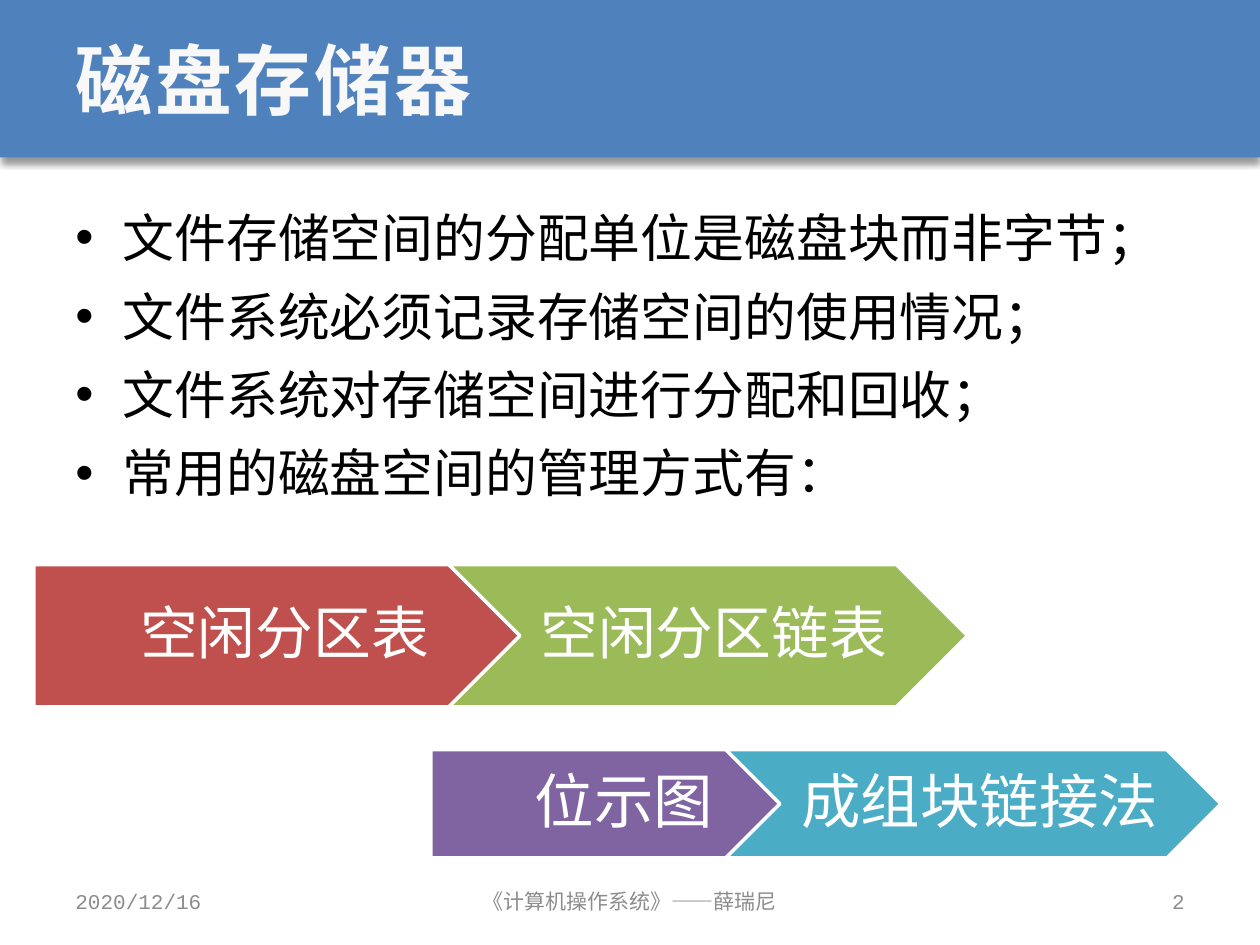
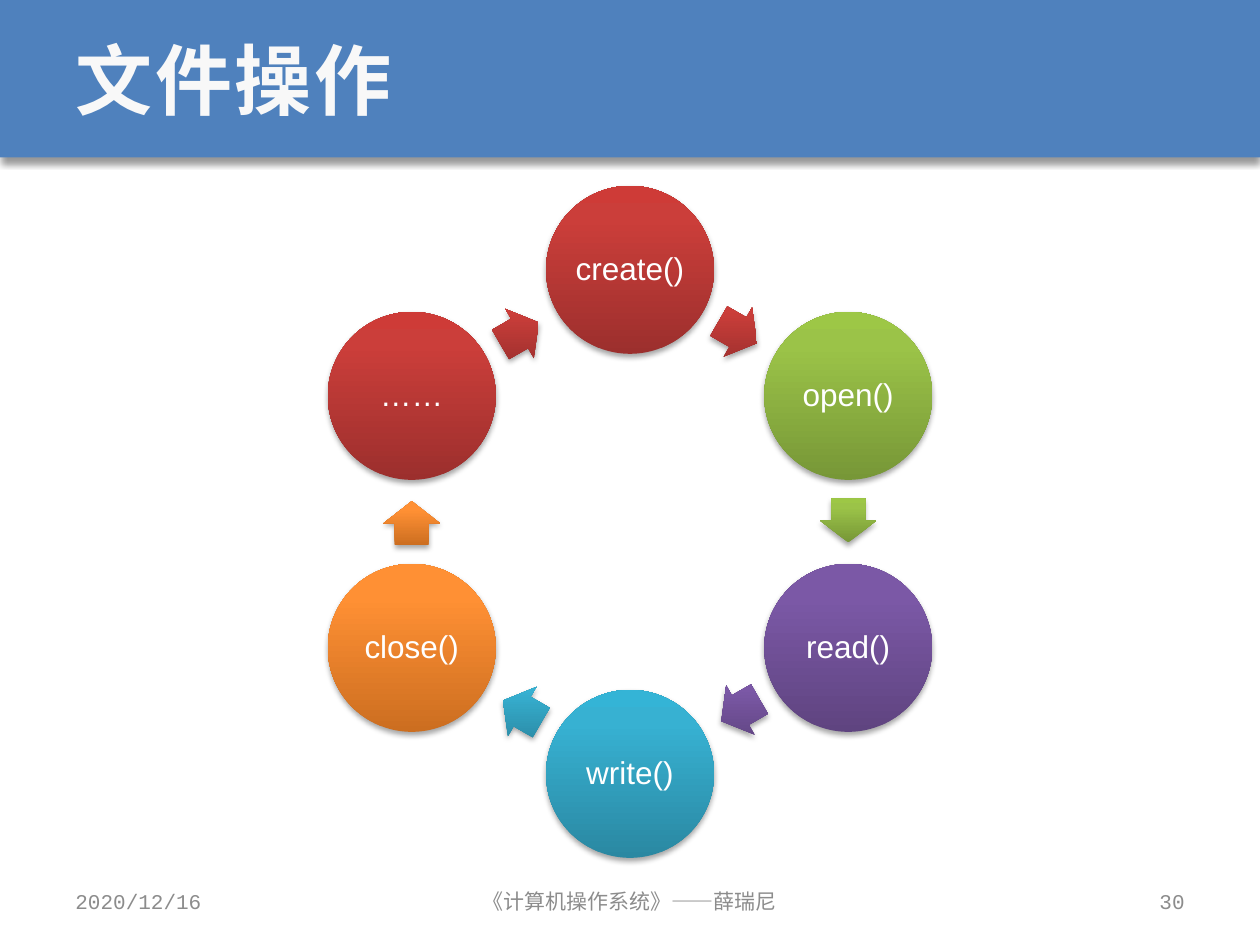
"""Build two lecture slides on disk storage and file operations."""
from math import cos, radians, sin

from pptx import Presentation
from pptx.dml.color import RGBColor
from pptx.enum.shapes import MSO_SHAPE as Shape
from pptx.enum.text import MSO_ANCHOR as Anchor, MSO_AUTO_SIZE as AutoSize, PP_ALIGN as Align
from pptx.oxml import parse_xml
from pptx.oxml.ns import nsdecls
from pptx.util import Pt

BLUE = RGBColor(0x4F, 0x81, 0xBD)
RED = RGBColor(0xC0, 0x50, 0x4D)
GREEN = RGBColor(0x9B, 0xBB, 0x59)
PURPLE = RGBColor(0x80, 0x64, 0xA2)
TEAL = RGBColor(0x4B, 0xAC, 0xC6)
WHITE = RGBColor(0xFF, 0xFF, 0xFF)
OFF_WHITE = RGBColor(0xF8, 0xF8, 0xF8)
BLACK = RGBColor(0, 0, 0)
GREY = RGBColor(0x8C, 0x8C, 0x8C)


def shades(*values):
    """Return the dark, middle and light colours of a gradient."""
    return [RGBColor.from_string(value) for value in values]


RED_SHADES = shades("9C2F2D", "CB3E3A", "CE3B37")
GREEN_SHADES = shades("779737", "9BC348", "9DC746")
PURPLE_SHADES = shades("5F4480", "7B58A6", "7C57A8")
TEAL_SHADES = shades("2A88A2", "37B1D2", "34B4D6")
ORANGE_SHADES = shades("CC6E20", "FF9034", "FF9136")
STOPS = (0, 80, 100)

MONO, SANS = "Courier New", "Arial"
WIDTH, HEIGHT, BAND_HEIGHT, MARGIN = 720, 540, 90, 36
DATE = "2020/12/16"
COURSE = "《计算机操作系统》——薛瑞尼"

POINTS = [
    "文件存储空间的分配单位是磁盘块而非字节；",
    "文件系统必须记录存储空间的使用情况；",
    "文件系统对存储空间进行分配和回收；",
    "常用的磁盘空间的管理方式有：",
]
METHOD_ROWS = [
    {"left": 19.4, "top": 322.6, "height": 81.4, "overlap": 59.7, "size": 33,
     "steps": [("空闲分区表", RED, 296.6, 13.7), ("空闲分区链表", GREEN, 296.6, 10)]},
    {"left": 246.2, "top": 428.4, "height": 61.9, "overlap": 56.9, "size": 34,
     "steps": [("位示图", PURPLE, 225.4, 14.4), ("成组块链接法", TEAL, 283, 10.8)]},
]
OPERATIONS = [
    ("create()", RED_SHADES), ("open()", GREEN_SHADES), ("read()", PURPLE_SHADES),
    ("write()", TEAL_SHADES), ("close()", ORANGE_SHADES), ("……", RED_SHADES),
]
CENTRE_X, CENTRE_Y, RING_RADIUS, CIRCLE_SIZE = 360, 298.2, 144, 96
ARROW_WIDTH, ARROW_HEIGHT, ARROW_SETBACK = 25.2, 32.4, 0.8


def add_text(para, text, size, color, font=SANS):
    """Add one formatted run to a paragraph."""
    span = para.add_run()
    span.text = text
    span.font.name, span.font.size = font, Pt(size)
    span.font.color.rgb = color
    return span


def add_box(page, left, top, width, height):
    """Add a wrapping text box and return its text frame."""
    frame = page.shapes.add_textbox(Pt(left), Pt(top), Pt(width), Pt(height)).text_frame
    frame.word_wrap = True
    return frame


def add_plain_shape(page, kind, left, top, width, height):
    """Add a preset shape with neither line nor shadow."""
    shape = page.shapes.add_shape(kind, Pt(left), Pt(top), Pt(width), Pt(height))
    shape.shadow.inherit = False
    shape.line.fill.background()
    return shape


def add_shadow(shape, blur, distance, alpha):
    """Give a shape a soft black shadow straight below it."""
    shape._element.spPr.find("{*}effectLst").append(parse_xml(
        f'<a:outerShdw {nsdecls("a")} blurRad="{Pt(blur)}" dist="{Pt(distance)}" '
        f'dir="5400000" rotWithShape="0"><a:srgbClr val="000000">'
        f'<a:alpha val="{alpha * 1000}"/></a:srgbClr></a:outerShdw>'))


def add_gradient(shape, colors):
    """Fill a shape from dark at the bottom to light at the top."""
    stops = "".join(f'<a:gs pos="{stop * 1000}"><a:srgbClr val="{color}"/></a:gs>'
                    for stop, color in zip(STOPS, colors))
    shape._element.spPr.find("{*}prstGeom").addnext(parse_xml(
        f'<a:gradFill {nsdecls("a")} rotWithShape="0"><a:gsLst>{stops}</a:gsLst>'
        '<a:lin ang="16200000" scaled="0"/></a:gradFill>'))


def add_label(shape, text, size, insets):
    """Centre a white label in a shape, with insets left, top, right, bottom."""
    frame = shape.text_frame
    frame.word_wrap = True
    frame.vertical_anchor = Anchor.MIDDLE
    (frame.margin_left, frame.margin_top,
     frame.margin_right, frame.margin_bottom) = map(Pt, insets)
    para = frame.paragraphs[0]
    para.alignment, para.line_spacing = Align.CENTER, 0.9
    add_text(para, text, size, WHITE)


def add_page(deck, title, number):
    """Add a slide with the shared band, title and footer."""
    page = deck.slides.add_slide(deck.slide_layouts[5])
    heading = page.shapes.title
    heading.left, heading.top = Pt(MARGIN), Pt(0)
    heading.width, heading.height = Pt(WIDTH - 2 * MARGIN), Pt(BAND_HEIGHT)
    frame = heading.text_frame
    frame.auto_size, frame.vertical_anchor = AutoSize.NONE, Anchor.MIDDLE
    frame.paragraphs[0].alignment = Align.LEFT
    span = add_text(frame.paragraphs[0], title, 44, OFF_WHITE, MONO)
    span.font.bold = True
    span.font._element.set("spc", "150")

    band = add_plain_shape(page, Shape.RECTANGLE, 0, 0, WIDTH, BAND_HEIGHT)
    band.fill.solid()
    band.fill.fore_color.rgb = BLUE
    add_shadow(band, 4, 3, 40)
    heading._element.addprevious(band._element)

    for text, left, width, align in [(DATE, MARGIN, 168, Align.LEFT),
                                     (COURSE, 246, 228, Align.CENTER),
                                     (number, 516, 168, Align.RIGHT)]:
        frame = add_box(page, left, 500.5, width, 28.75)
        frame.vertical_anchor = Anchor.MIDDLE
        frame.paragraphs[0].alignment = align
        add_text(frame.paragraphs[0], text, 12, GREY, MONO)
    return page


def add_points(page):
    """Add the bulleted statements about disk space."""
    frame = add_box(page, MARGIN, 106.6, WIDTH - 2 * MARGIN, 190)
    for index, text in enumerate(POINTS):
        para = frame.paragraphs[0] if index == 0 else frame.add_paragraph()
        properties = para._p.get_or_add_pPr()
        properties.set("marL", str(Pt(27)))
        properties.set("indent", str(-Pt(27)))
        properties.append(parse_xml(f'<a:buFont {nsdecls("a")} typeface="{SANS}"/>'))
        properties.append(parse_xml(f'<a:buChar {nsdecls("a")} char="•"/>'))
        para.line_spacing = Pt(43)
        if index:
            para.space_before = Pt(1.8)
        add_text(para, text, 29.6, BLACK, MONO)


def add_methods(page):
    """Add the rows of interlocking management methods."""
    for row in METHOD_ROWS:
        left = row["left"]
        for index, (text, color, width, inset) in enumerate(row["steps"]):
            kind = Shape.CHEVRON if index else Shape.PENTAGON
            step = add_plain_shape(page, kind, left, row["top"], width, row["height"])
            step.fill.solid()
            step.fill.fore_color.rgb = color
            step.line.color.rgb, step.line.width = WHITE, Pt(2)
            add_label(step, text, row["size"], (inset, 7.2, 3.6, 7.2))
            left += width - row["overlap"]


def add_cycle(page):
    """Add the ring of file operations joined by arrows."""
    turn = 360 / len(OPERATIONS)
    arrow_radius = RING_RADIUS * cos(radians(turn / 2))
    for index, (text, colors) in enumerate(OPERATIONS):
        angle = radians(index * turn - 90)
        circle = add_plain_shape(page, Shape.OVAL,
                                 CENTRE_X + RING_RADIUS * cos(angle) - CIRCLE_SIZE / 2,
                                 CENTRE_Y + RING_RADIUS * sin(angle) - CIRCLE_SIZE / 2,
                                 CIRCLE_SIZE, CIRCLE_SIZE)
        add_label(circle, text, 18, (2, 2, 2, 2))

        heading = (index + 0.5) * turn
        angle, travel = radians(heading - 90), radians(heading)
        arrow_x = CENTRE_X + arrow_radius * cos(angle) - ARROW_SETBACK * cos(travel)
        arrow_y = CENTRE_Y + arrow_radius * sin(angle) - ARROW_SETBACK * sin(travel)
        arrow = add_plain_shape(page, Shape.RIGHT_ARROW, arrow_x - ARROW_WIDTH / 2,
                                arrow_y - ARROW_HEIGHT / 2, ARROW_WIDTH, ARROW_HEIGHT)
        arrow.adjustments[0], arrow.adjustments[1] = 0.6, 0.5
        arrow.rotation = heading
        for shape in (circle, arrow):
            add_gradient(shape, colors)
            add_shadow(shape, 3.1, 1.8, 35)


def main():
    """Build and save the deck."""
    deck = Presentation()
    deck.slide_width, deck.slide_height = Pt(WIDTH), Pt(HEIGHT)
    storage = add_page(deck, "磁盘存储器", "2")
    add_points(storage)
    add_methods(storage)
    add_cycle(add_page(deck, "文件操作", "30"))
    deck.save("out.pptx")


if __name__ == "__main__":
    main()
